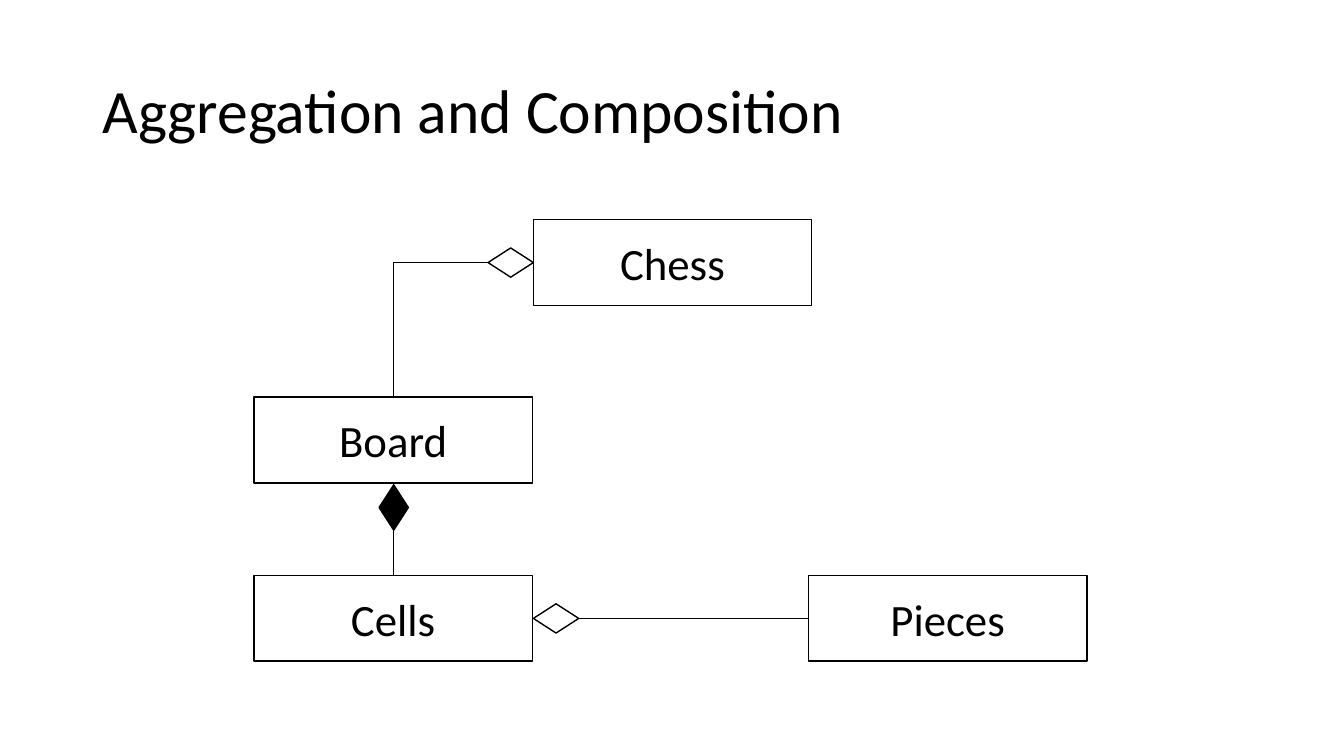
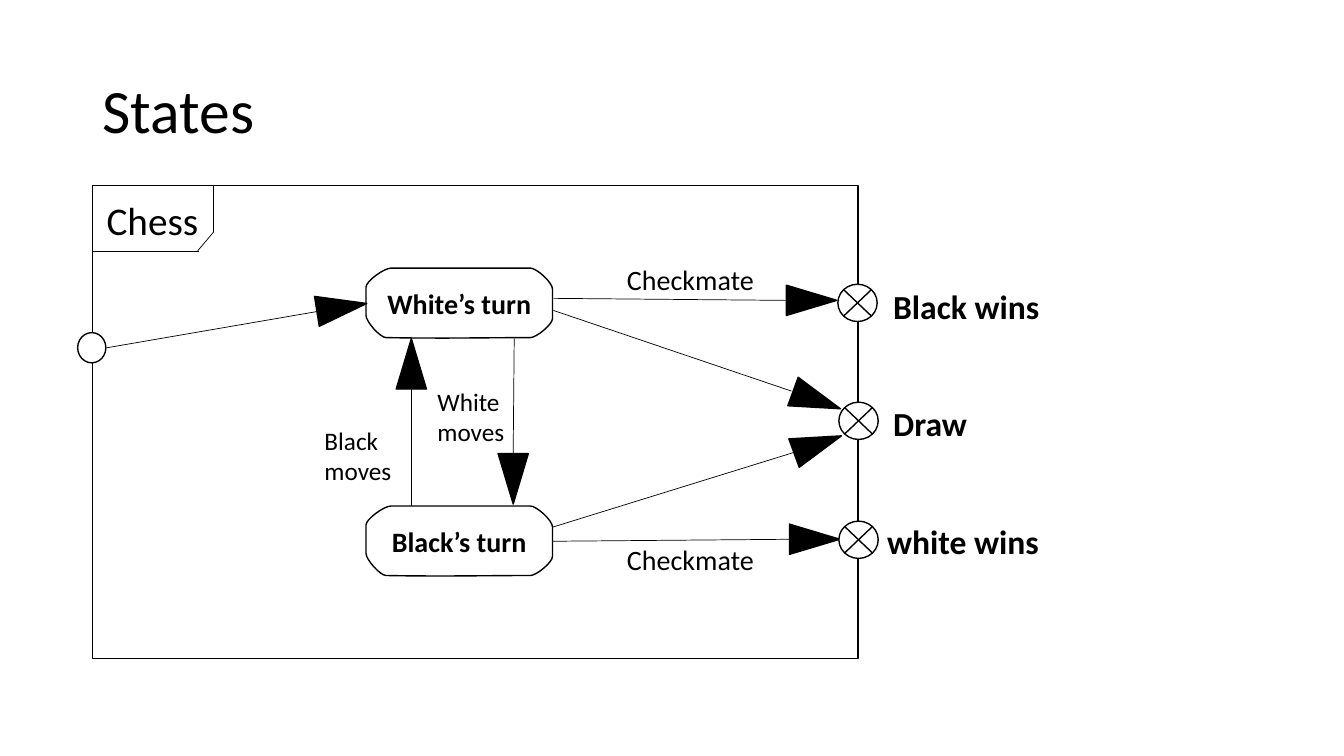
import dataclasses
import lxml.etree
import pptx
import pptx.dml.color
import pptx.enum.shapes
import pptx.enum.text
import pptx.oxml.ns
import pptx.util

PX = 9144
SHAPE = pptx.enum.shapes.MSO_SHAPE
CONNECTOR = pptx.enum.shapes.MSO_CONNECTOR
ALIGN = pptx.enum.text.PP_ALIGN
ANCHOR = pptx.enum.text.MSO_ANCHOR


@dataclasses.dataclass(frozen=True)
class Theme:
    ink: pptx.dml.color.RGBColor = pptx.dml.color.RGBColor(0, 0, 0)
    paper: pptx.dml.color.RGBColor = pptx.dml.color.RGBColor(255, 255, 255)
    font: str = "Calibri"
    title: int = 44
    entity: int = 32
    frame: int = 28
    outcome: int = 24
    state: int = 20
    move: int = 18
    outline: float = 1
    link: float = 0.5


theme = Theme()


def write(shape, text, size, bold=False, align=ALIGN.LEFT, anchor=ANCHOR.TOP, spacing=None):
    frame = shape.text_frame
    frame.word_wrap = True
    frame.vertical_anchor = anchor
    paragraph = frame.paragraphs[0]
    paragraph.alignment = align
    paragraph.line_spacing = spacing
    run = paragraph.add_run()
    run.text = text
    run.font.name = theme.font
    run.font.size = pptx.util.Pt(size)
    run.font.bold = bold
    run.font.color.rgb = theme.ink


def paint(shape, fill=theme.paper, rotation=0):
    shape.shadow.inherit = False
    shape.fill.solid()
    shape.fill.fore_color.rgb = fill
    shape.line.color.rgb = theme.ink
    shape.line.width = pptx.util.Pt(theme.outline)
    shape.rotation = rotation
    return shape


deck = pptx.Presentation()
deck.slide_width = pptx.util.Inches(13.33)
deck.slide_height = pptx.util.Inches(7.5)

canvases = []
for heading in ("Aggregation and Composition", "States"):
    canvas = deck.slides.add_slide(deck.slide_layouts[6]).shapes
    title = canvas.add_textbox(92 * PX, 40 * PX, 1150 * PX, 145 * PX)
    write(title, heading, theme.title, anchor=ANCHOR.MIDDLE, spacing=0.9)
    canvases.append(canvas)
composition, states = canvases

entities = {}
for name, left, top in (
    ("Chess", 529, 218),
    ("Board", 252, 394),
    ("Pieces", 802, 571),
    ("Cells", 252, 571),
):
    entity = composition.add_shape(SHAPE.RECTANGLE, left * PX, top * PX, 276 * PX, 85 * PX)
    write(paint(entity), name, theme.entity, align=ALIGN.CENTER, anchor=ANCHOR.MIDDLE)
    entities[name] = entity

links = []
TOP, LEFT, BOTTOM, RIGHT = range(4)
for whole, whole_side, part, part_side, route in (
    ("Chess", LEFT, "Board", TOP, CONNECTOR.ELBOW),
    ("Cells", RIGHT, "Pieces", LEFT, CONNECTOR.STRAIGHT),
    ("Board", BOTTOM, "Cells", TOP, CONNECTOR.STRAIGHT),
):
    link = composition.add_connector(route, 0, 0, 0, 0)
    link.begin_connect(entities[whole], whole_side)
    link.end_connect(entities[part], part_side)
    if route == CONNECTOR.ELBOW:
        link._element.spPr.find(pptx.oxml.ns.qn("a:prstGeom")).set("prst", "bentConnector2")
    links.append(link)

for left, top, rotation, fill in (
    (484, 246, 0, theme.paper),
    (529, 599, 0, theme.paper),
    (368, 489, 90, theme.ink),
):
    diamond = composition.add_shape(SHAPE.FLOWCHART_DECISION, left * PX, top * PX, 45 * PX, 29 * PX)
    paint(diamond, fill, rotation)

paint(states.add_shape(SHAPE.RECTANGLE, 92 * PX, 184 * PX, 759 * PX, 469 * PX))
paint(states.add_shape(SHAPE.FLOWCHART_CONNECTOR, 77 * PX, 330 * PX, 28 * PX, 30 * PX))

state_corners = (
    ((0, 19), (0, 13), (18, 0), (25, 0)),
    ((163, 0), (169, 0), (185, 14), (185, 21)),
    ((185, 50), (185, 56), (169, 69), (163, 69)),
    ((163, 69), (115, 69), (78, 70), (20, 69)),
    ((20, 69), (14, 69), (0, 53), (0, 47)),
)
curve_steps = 8
state_outline = []
for corner in state_corners:
    for step in range(curve_steps + 1):
        t = step / curve_steps
        weights = ((1 - t) ** 3, 3 * t * (1 - t) ** 2, 3 * t * t * (1 - t), t**3)
        state_outline.append(
            [PX * sum(w * point[axis] for w, point in zip(weights, corner)) for axis in (0, 1)]
        )

for player, top in (("White’s turn", 266), ("Black’s turn", 502)):
    outline = states.build_freeform(*state_outline[0], scale=1.0)
    outline.add_line_segments(state_outline[1:], close=True)
    state = paint(outline.convert_to_shape(363 * PX, top * PX))
    write(state, player, theme.state, bold=True, align=ALIGN.CENTER, anchor=ANCHOR.MIDDLE)

for left, top, rotation in (
    (324, 280, 81),
    (393, 336, 0),
    (494, 450, 180),
    (790, 273, 90),
    (793, 510, 90),
    (795, 372, 110),
    (796, 416, 70),
):
    arrowhead = states.add_shape(SHAPE.ISOSCELES_TRIANGLE, left * PX, top * PX, 30 * PX, 50 * PX)
    paint(arrowhead, theme.ink, rotation)

for outcome, junction_left, junction_top, label_left, label_top in (
    ("Black wins", 831, 282, 876, 279),
    ("Draw", 832, 399, 876, 395),
    ("white wins", 832, 517, 870, 512),
):
    paint(states.add_shape(
        SHAPE.FLOWCHART_SUMMING_JUNCTION, junction_left * PX, junction_top * PX, 39 * PX, 37 * PX
    ))
    label = states.add_textbox(label_left * PX, label_top * PX, 195 * PX, 50 * PX)
    write(label, outcome, theme.outcome, bold=True)

for text, size, *box in (
    ("Chess", theme.frame, 96, 190, 120, 57),
    ("Black moves", theme.move, 312, 417, 114, 71),
    ("White moves", theme.move, 424, 378, 114, 71),
    ("Checkmate", theme.state, 612, 256, 156, 44),
    ("Checkmate", theme.state, 612, 533, 156, 44),
):
    write(states.add_textbox(*[length * PX for length in box]), text, size)

for ends in (
    (92, 249, 197, 249),
    (196, 249, 212, 230),
    (212, 230, 212, 185),
    (549, 296, 780, 298),
    (106, 345, 315, 309),
    (408, 502, 408, 386),
    (510, 336, 509, 450),
    (549, 308, 785, 388),
    (548, 523, 787, 449),
    (548, 537, 783, 535),
):
    links.append(states.add_connector(CONNECTOR.STRAIGHT, *[length * PX for length in ends]))

for link in links:
    link.line.color.rgb = theme.ink
    link.line.width = pptx.util.Pt(theme.link)
    lxml.etree.SubElement(link._element.spPr, pptx.oxml.ns.qn("a:effectLst"))

deck.save("out.pptx")
